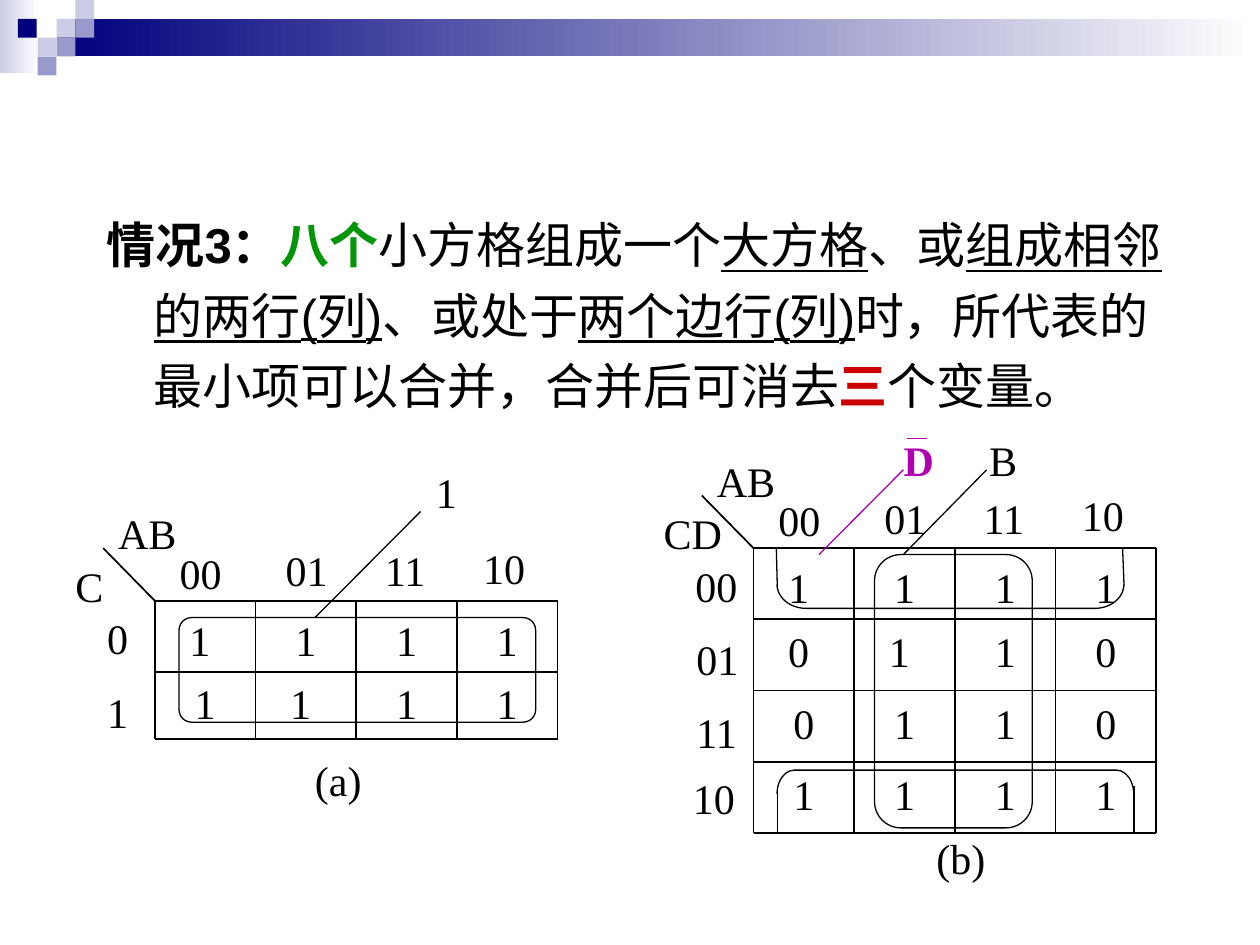
from lxml.etree import SubElement
from pptx import Presentation
from pptx.dml.color import RGBColor
from pptx.enum.shapes import MSO_CONNECTOR, MSO_SHAPE
from pptx.enum.text import MSO_ANCHOR, MSO_AUTO_SIZE, PP_ALIGN
from pptx.oxml.ns import qn
from pptx.util import Cm, Pt

BLACK = RGBColor(0x00, 0x00, 0x00)
WHITE = RGBColor(0xFF, 0xFF, 0xFF)
NAVY = RGBColor(0x00, 0x00, 0x7D)
LAVENDER = RGBColor(0xCC, 0xCC, 0xE6)
PERIWINKLE = RGBColor(0x99, 0x99, 0xCC)
GREEN = RGBColor(0x05, 0x95, 0x08)
RED = RGBColor(0xCC, 0x00, 0x00)
PURPLE = RGBColor(0xB0, 0x00, 0xB0)

deck = Presentation()
deck.slide_width, deck.slide_height = Cm(25.4), Cm(19.05)
page = deck.slides.add_slide(deck.slide_layouts[1])


def add_text(text, left, top, width, height=1.27, color=BLACK, bold=False,
             align=PP_ALIGN.LEFT, wrap=False, grow=True):
    box = page.shapes.add_textbox(Cm(left), Cm(top), Cm(width), Cm(height))
    frame = box.text_frame
    frame.word_wrap = wrap
    frame.auto_size = MSO_AUTO_SIZE.SHAPE_TO_FIT_TEXT if grow else MSO_AUTO_SIZE.NONE
    para = frame.paragraphs[0]
    para.alignment = align
    span = para.add_run()
    span.text = text
    span.font.name, span.font.size = "Times New Roman", Pt(24)
    span.font.bold, span.font.color.rgb = bold, color


def add_line(x1, y1, x2, y2, color=BLACK, weight=0.75):
    line = page.shapes.add_connector(MSO_CONNECTOR.STRAIGHT, Cm(x1), Cm(y1), Cm(x2), Cm(y2))
    line.line.color.rgb, line.line.width = color, Pt(weight)
    SubElement(line.element.spPr, qn("a:effectLst"))


# Header band and squares: left, top, width, height, colour, fades to white
for left, top, width, height, color, fades in [
    (0, 0, 0.79, 1.47, LAVENDER, True),
    (1.14, 0.38, 24.26, 0.76, NAVY, True),
    (1.14, 0.38, 0.38, 0.38, LAVENDER, False),
    (1.52, 0, 0.38, 0.38, LAVENDER, False),
    (1.52, 0.38, 0.38, 0.38, PERIWINKLE, False),
    (0.76, 0.76, 0.38, 0.38, LAVENDER, False),
    (0.36, 0.38, 0.38, 0.38, NAVY, False),
    (1.14, 0.76, 0.38, 0.38, PERIWINKLE, False),
    (0.76, 1.14, 0.38, 0.38, PERIWINKLE, False),
]:
    block = page.shapes.add_shape(MSO_SHAPE.RECTANGLE, Cm(left), Cm(top), Cm(width), Cm(height))
    block.shadow.inherit = False
    block.line.fill.background()
    if fades:
        block.fill.gradient()
        block.fill.gradient_angle = 0
        for stop, stop_color in zip(block.fill.gradient_stops, (color, WHITE)):
            stop.color.rgb = stop_color
    else:
        block.fill.solid()
        block.fill.fore_color.rgb = color

# Rule text in the body placeholder
title = page.shapes.title.element
title.getparent().remove(title)
body = page.placeholders[1]
body.left, body.top, body.width, body.height = Cm(1.9), Cm(3.96), Cm(22.02), Cm(5.28)
body.text_frame.auto_size = MSO_AUTO_SIZE.NONE
body.text_frame.vertical_anchor = MSO_ANCHOR.TOP
para = body.text_frame.paragraphs[0]
para.line_spacing, para.space_before = 1.2, Pt(5.6)
layout = para._p.get_or_add_pPr()
layout.set("marL", str(Cm(0.95)))
layout.set("indent", str(-Cm(0.95)))
SubElement(layout, qn("a:buNone"))
for text, color, bold, underline in [
    ("情况3：", BLACK, True, False),
    ("八个", GREEN, True, False),
    ("小方格组成一个", BLACK, False, False),
    ("大方格", BLACK, False, True),
    ("、或", BLACK, False, False),
    ("组成相邻的两行(列)", BLACK, False, True),
    ("、或处于", BLACK, False, False),
    ("两个边行(列)", BLACK, False, True),
    ("时，所代表的最小项可以合并，合并后可消去", BLACK, False, False),
    ("三", RED, True, False),
    ("个变量。", BLACK, False, False),
]:
    span = para.add_run()
    span.text = text
    span.font.name, span.font.size = "Arial", Pt(28)
    span.font.bold, span.font.underline, span.font.color.rgb = bold, underline, color

# Karnaugh maps: left, row lines, cell text tops, cell values
COLUMN = 2.03
for left, row_lines, text_tops, rows in [
    (15.19, [11.05, 12.48, 13.92, 15.36, 16.79], [11.2, 12.49, 13.93, 15.37],
     [["1 ", "1", "1", "1"], ["0 ", "1 ", "1", "0"], ["0", "1", "1", "0"], ["1", "1", "1", "1"]]),
    (3.12, [12.11, 13.54, 14.89], [12.27, 13.54],
     [["1 ", "1", "1", "1"], ["1", "1 ", "1", "1"]]),
]:
    top, bottom = row_lines[0], row_lines[-1]
    for text_top, values in zip(text_tops, rows):
        for column, value in enumerate(values):
            add_text(value, left + column * COLUMN, text_top, COLUMN, 1.45,
                     align=PP_ALIGN.CENTER, wrap=True, grow=False)
    for y in row_lines:
        add_line(left, y, left + 4 * COLUMN, y, weight=1)
    for column in range(5):
        x = left + column * COLUMN
        add_line(x, top, x, bottom, weight=1)
    # Corner slash and column headings
    add_line(left - 1.04, top - 1.06, left, top, weight=1)
    add_text("AB", left - 0.99, top - 2, 1.68)
    for heading, dx, dy in [("00", 0.25, 1.2), ("01", 2.39, 1.25),
                            ("11", 4.39, 1.25), ("10", 6.37, 1.3)]:
        add_text(heading, left + dx, top - dy, 1.35)

# Row variables and row headings
for text, left, top, width in [
    ("CD", 13.13, 10.11, 1.7), ("00", 13.77, 11.18, 1.47), ("01", 13.79, 12.65, 1.7),
    ("11", 13.79, 14.12, 2.11), ("10", 13.72, 15.44, 1.7),
    ("C", 1.27, 11.18, 1.7), ("0", 1.91, 12.22, 1.47), ("1", 1.91, 13.72, 1.7),
]:
    add_text(text, left, top, width, wrap=True)

# Loops around the merged cells: shape, frame, rotation, corner adjustment
for kind, left, top, width, height, turn, corner in [
    (MSO_SHAPE.RIGHT_BRACKET, 19.02, 12.17, 0.48, 7.19, 270, 0.72),
    (MSO_SHAPE.RIGHT_BRACKET, 18.92, 8.53, 0.48, 6.99, 90, 1.22),
    (MSO_SHAPE.FLOWCHART_ALTERNATE_PROCESS, 17.63, 11.18, 3.18, 5.51, 0, None),
    (MSO_SHAPE.ROUNDED_RECTANGLE, 3.61, 12.45, 7.19, 2.11, 0, 0.12),
]:
    loop = page.shapes.add_shape(kind, Cm(left), Cm(top), Cm(width), Cm(height))
    loop.rotation = turn
    if corner is not None:
        loop.adjustments[0] = corner
    loop.shadow.inherit = False
    loop.fill.background()
    loop.line.color.rgb, loop.line.width = BLACK, Pt(0.75)

# Open ends of the brackets, leaders to the results, bar over D
for x1, y1, x2, y2, color in [
    (15.67, 15.85, 15.67, 16.79, BLACK), (22.86, 15.85, 22.86, 16.79, BLACK),
    (22.66, 11.81, 22.63, 11.05, BLACK), (15.67, 11.84, 15.65, 11.07, BLACK),
    (16.51, 11.18, 18.21, 9.47, PURPLE), (18.21, 11.18, 19.89, 9.47, BLACK),
    (6.35, 12.45, 8.48, 10.31, BLACK), (18.29, 8.84, 18.69, 8.84, PURPLE),
]:
    add_line(x1, y1, x2, y2, color)

# Results and captions
add_text("D", 17.96, 8.64, 1.12, color=PURPLE, bold=True, align=PP_ALIGN.CENTER)
add_text("B", 19.69, 8.64, 1.07, align=PP_ALIGN.CENTER)
add_text("1", 8.53, 9.27, 0.94, align=PP_ALIGN.CENTER)
add_text("(b)", 18.62, 16.66, 1.5, align=PP_ALIGN.CENTER)
add_text("(a)", 6.1, 15.09, 1.45)

deck.save("out.pptx")
